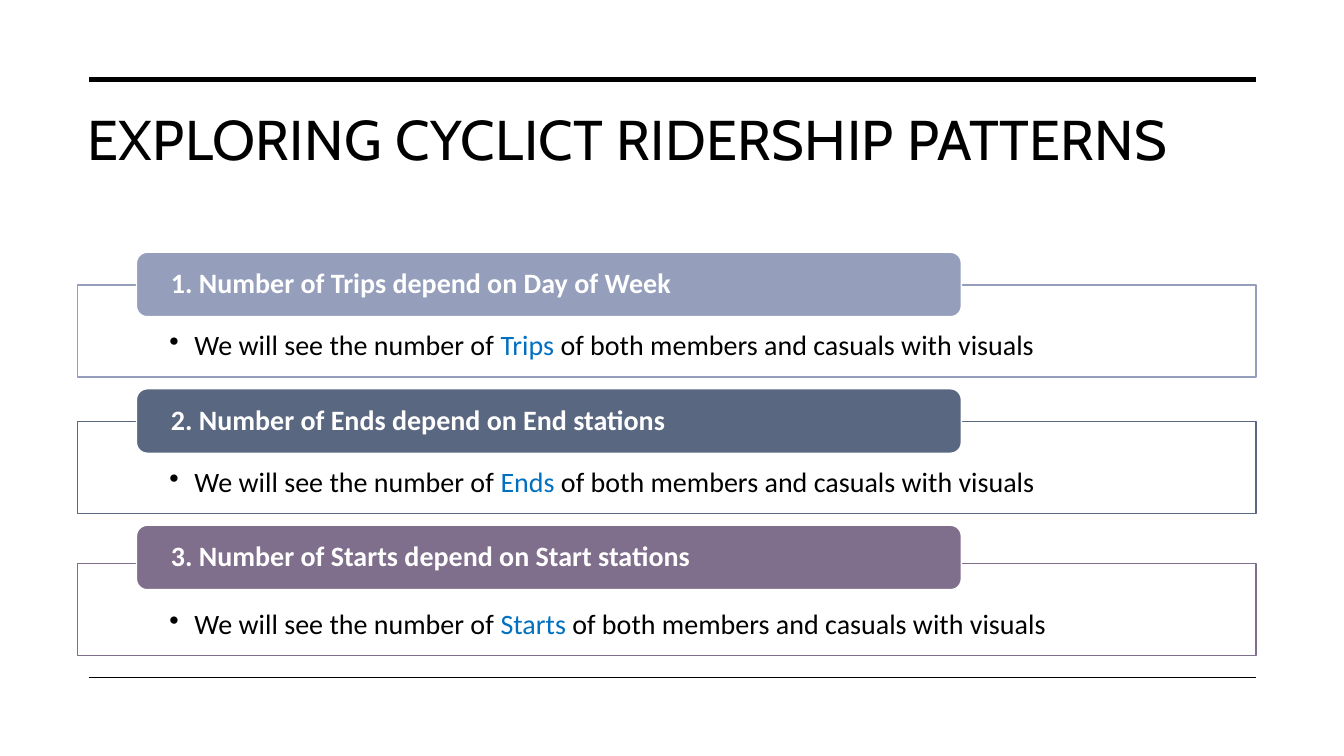
from dataclasses import dataclass

from lxml import etree
from pptx import Presentation
from pptx import util as u
from pptx.dml.color import RGBColor
from pptx.enum import shapes, text
from pptx.oxml import ns


@dataclass(frozen=True)
class Theme:
    """Colours, fonts and type sizes of the slide."""
    ink: str = "000000"
    paper: str = "FFFFFF"
    highlight: str = "0070C0"
    title_font: str = "Cabin"
    body_font: str = "Calibri"
    title_size: float = 40
    body_size: float = 20
    line_width: float = 1
    rule_width: float = 3.5


THEME = Theme()
TITLE = "EXPLORING CYCLICT RIDERSHIP PATTERNS"
SECTIONS = [
    ("1. Number of Trips depend on Day of Week", "Trips", "959EBB", 23.5),
    ("2. Number of Ends depend on End stations", "Ends", "596781", 23.5),
    ("3. Number of Starts depend on Start stations", "Starts", "7F6E8C", 27.5),
]


def format_run(run, font, size, color, bold=False):
    """Give a run its typeface, size, colour and weight."""
    run.font.name = font
    run.font.size = u.Pt(size)
    run.font.color.rgb = RGBColor.from_string(color)
    run.font.bold = bold


def set_frame(frame, anchor, left=0, top=0, right=0, bottom=0):
    """Set wrapping, anchoring and insets of a text frame."""
    frame.word_wrap = True
    frame.auto_size = text.MSO_AUTO_SIZE.NONE
    frame.vertical_anchor = anchor
    frame.margin_left, frame.margin_top = u.Pt(left), u.Pt(top)
    frame.margin_right, frame.margin_bottom = u.Pt(right), u.Pt(bottom)


def add_rule(slide, left, top, width, weight):
    """Draw a horizontal rule."""
    rule = slide.shapes.add_connector(
        shapes.MSO_CONNECTOR.STRAIGHT,
        u.Pt(left), u.Pt(top), u.Pt(left + width), u.Pt(top))
    rule.line.width = u.Pt(weight)
    rule.line.color.rgb = RGBColor.from_string(THEME.ink)
    etree.SubElement(rule._element.spPr, ns.qn("a:effectLst"))


def add_box(slide, kind, left, top, width, height, fill, line):
    """Draw a filled, outlined shape without a shadow."""
    box = slide.shapes.add_shape(
        kind, u.Pt(left), u.Pt(top), u.Pt(width), u.Pt(height))
    box.shadow.inherit = False
    box.fill.solid()
    box.fill.fore_color.rgb = RGBColor.from_string(fill)
    box.line.color.rgb = RGBColor.from_string(line)
    box.line.width = u.Pt(THEME.line_width)
    return box


def set_title(slide, left, top, width, height):
    """Place and format the title placeholder."""
    title = slide.shapes.title
    title.left, title.top = u.Pt(left), u.Pt(top)
    title.width, title.height = u.Pt(width), u.Pt(height)
    set_frame(title.text_frame, text.MSO_ANCHOR.TOP, 7.2, 3.6, 7.2, 3.6)
    title.text_frame.text = TITLE
    paragraph = title.text_frame.paragraphs[0]
    paragraph.alignment = text.PP_ALIGN.LEFT
    run = paragraph.runs[0]
    format_run(run, THEME.title_font, THEME.title_size, THEME.ink)
    run.font._element.set("spc", "30")


def add_panel(slide, left, top, width, height, keyword, color):
    """Draw an outlined panel with one bulleted sentence."""
    panel = add_box(slide, shapes.MSO_SHAPE.RECTANGLE,
                    left, top, width, height, THEME.paper, color)
    fill_color = panel.fill._xPr.find(ns.qn("a:solidFill"))[0]
    etree.SubElement(fill_color, ns.qn("a:alpha"), val="90000")
    set_frame(panel.text_frame, text.MSO_ANCHOR.TOP, 65.5, 33, 65.5, 11.5)
    paragraph = panel.text_frame.paragraphs[0]
    paragraph.alignment = text.PP_ALIGN.LEFT
    paragraph.line_spacing = 0.9
    properties = paragraph._p.get_or_add_pPr()
    properties.set("marL", str(u.Pt(18)))
    properties.set("indent", str(-u.Pt(18)))
    etree.SubElement(properties, ns.qn("a:buChar"), char="•")
    for words, ink in (("We will see the number of ", THEME.ink),
                       (keyword, THEME.highlight),
                       (" of both members and casuals with visuals", THEME.ink)):
        run = paragraph.add_run()
        run.text = words
        format_run(run, THEME.body_font, THEME.body_size, ink)


def add_heading(slide, left, top, width, height, words, color):
    """Draw a rounded heading bar."""
    bar = add_box(slide, shapes.MSO_SHAPE.ROUNDED_RECTANGLE,
                  left, top, width, height, color, THEME.paper)
    set_frame(bar.text_frame, text.MSO_ANCHOR.MIDDLE, 22.3, 0, 22.3, 0)
    bar.text_frame.text = words
    paragraph = bar.text_frame.paragraphs[0]
    paragraph.alignment = text.PP_ALIGN.LEFT
    paragraph.line_spacing = 0.9
    format_run(paragraph.runs[0], THEME.body_font, THEME.body_size,
               THEME.paper, bold=True)


def add_sections(slide, left, top, width, pitch):
    """Stack the panels, each with a heading over its top edge."""
    for index, (heading, keyword, color, drop) in enumerate(SECTIONS):
        section_top = top + index * pitch
        add_panel(slide, left, section_top + drop, width, 65.5, keyword, color)
        add_heading(slide, left + 0.05 * width, section_top,
                    0.7 * width, 46, heading, color)


def main():
    """Build and save the presentation."""
    presentation = Presentation()
    presentation.slide_width, presentation.slide_height = u.Pt(960), u.Pt(540)
    slide = presentation.slides.add_slide(presentation.slide_layouts[5])
    left, width = 55.4, 841.7
    add_rule(slide, 63.4, 56.9, 833.7, THEME.rule_width)
    add_rule(slide, 63.4, 483.8, 833.7, THEME.line_width)
    set_title(slide, left, 71.3, width, 90.7)
    add_sections(slide, left, 180.2, width, 97.5)
    presentation.save("out.pptx")


if __name__ == "__main__":
    main()
